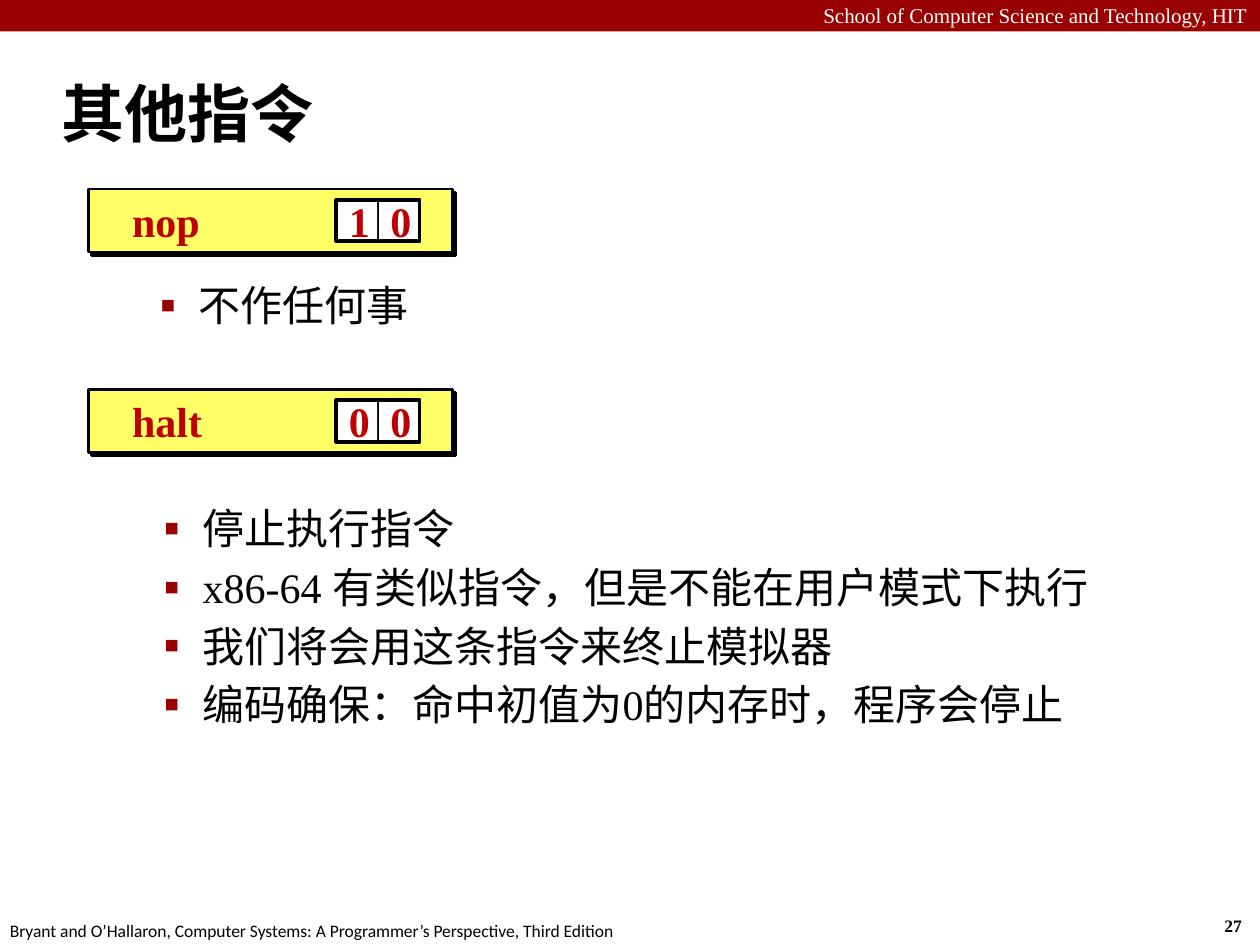
from lxml import etree
from pptx import Presentation
from pptx.dml.color import RGBColor
from pptx.enum.shapes import MSO_SHAPE
from pptx.enum.text import MSO_ANCHOR, MSO_AUTO_SIZE, PP_ALIGN
from pptx.oxml.ns import qn
from pptx.util import Inches, Pt

RECT = MSO_SHAPE.RECTANGLE
TOP, MIDDLE = MSO_ANCHOR.TOP, MSO_ANCHOR.MIDDLE
LEFT, RIGHT = PP_ALIGN.LEFT, PP_ALIGN.RIGHT
GROW, FIXED = MSO_AUTO_SIZE.SHAPE_TO_FIT_TEXT, MSO_AUTO_SIZE.NONE

BLACK = RGBColor(0x00, 0x00, 0x00)
WHITE = RGBColor(0xFF, 0xFF, 0xFF)
MAROON = RGBColor(0x99, 0x00, 0x00)
RED = RGBColor(0xC0, 0x00, 0x00)
YELLOW = RGBColor(0xFF, 0xFF, 0x66)
SERIF, SANS = "Times New Roman", "Calibri"


def add_element(parent, tag, **attrs):
    return etree.SubElement(parent, qn(tag), **attrs)


def set_text(sp, *lines, size=24, font=SERIF, color=BLACK, bold=False, align=LEFT,
             anchor=TOP, wrap=True, fit=FIXED, bullet=False):
    tf = sp.text_frame
    tf.word_wrap, tf.auto_size, tf.vertical_anchor = wrap, fit, anchor
    for i, line in enumerate(lines):
        p = tf.add_paragraph() if i else tf.paragraphs[0]
        p.alignment = align
        if bullet:
            add_bullet(p)
            p.space_before = Pt(0.2 * size if i else 0)
        r = p.add_run()
        r.text = line
        r.font.name, r.font.size, r.font.bold = font, Pt(size), bold
        r.font.color.rgb = color


def add_bullet(p):
    p.level = 1
    pPr = p._p.get_or_add_pPr()
    pPr.set("marL", str(Inches(0.81)))
    pPr.set("indent", str(Inches(-0.31)))
    add_element(add_element(pPr, "a:buClr"), "a:srgbClr", val=str(MAROON))
    add_element(pPr, "a:buSzPct", val="110000")
    add_element(pPr, "a:buFont", typeface=SERIF)
    add_element(pPr, "a:buChar", char="▪")


def add_hard_shadow(sp):
    """Give the shape a solid black shadow towards the lower right."""
    effects = sp._element.spPr.find(qn("a:effectLst"))
    shadow = add_element(effects, "a:outerShdw", blurRad="0", dist=str(Pt(2.8)),
                         dir=str(45 * 60000), algn="ctr", rotWithShape="0")
    add_element(shadow, "a:srgbClr", val=str(BLACK))


class SlideBuilder:
    def __init__(self, slide):
        self.shapes = slide.shapes

    def text(self, x, y, w, h, *lines, shapes=None, **style):
        sp = (shapes or self.shapes).add_textbox(Inches(x), Inches(y), Inches(w), Inches(h))
        set_text(sp, *lines, **style)

    def rect(self, x, y, w, h, fill=None, line=None, shapes=None):
        sp = (shapes or self.shapes).add_shape(RECT, Inches(x), Inches(y), Inches(w), Inches(h))
        sp.shadow.inherit = False
        if fill is None:
            sp.fill.background()
        else:
            sp.fill.solid()
            sp.fill.fore_color.rgb = fill
        if line is None:
            sp.line.fill.background()
        else:
            sp.line.color.rgb = BLACK
            sp.line.width = Pt(line)
        return sp

    def instruction(self, y, name, code):
        """Draw an instruction's name with its code, one cell per digit."""
        shapes = self.shapes.add_group_shape().shapes
        style = dict(color=RED, bold=True, anchor=MIDDLE, wrap=False)
        x, cell, row = 2.67, 0.33, y + 0.085
        add_hard_shadow(self.rect(0.7, y, 2.89, 0.5, YELLOW, 1.5, shapes))
        self.text(0.95, row, 2.09, cell, name, shapes=shapes, **style)
        for i, digit in enumerate(code):
            sp = self.rect(x + i * cell, row, cell, cell, WHITE, 0.5, shapes)
            set_text(sp, digit, **style)
        self.rect(x, row, cell * len(code), cell, line=2.25, shapes=shapes)


def main():
    prs = Presentation()
    prs.slide_width, prs.slide_height = Inches(10), Inches(7.5)
    s = SlideBuilder(prs.slides.add_slide(prs.slide_layouts[6]))

    s.rect(0, 0, 10, 0.25, MAROON)
    s.text(0, -0.03, 10, 0.3, "School of Computer Science and Technology, HIT",
           size=12, color=WHITE, align=RIGHT, fit=GROW)
    s.text(9.62, 7.21, 0.37, 0.27, "27", size=10, bold=True, wrap=False, fit=GROW)
    s.text(-0.02, 7.25, 5.08, 0.27,
           "Bryant and O’Hallaron, Computer Systems: A Programmer’s Perspective, Third Edition",
           size=10, font=SANS, wrap=False, fit=GROW)

    s.text(0.39, 0.48, 9.61, 0.83, "其他指令", size=36, font=SANS, bold=True, anchor=MIDDLE)

    s.instruction(1.5, "nop", "10")
    s.text(0.67, 2.17, 8.43, 0.56, "不作任何事", bullet=True)

    s.instruction(3.09, "halt", "00")
    s.text(0.7, 3.94, 8.43, 2.17,
           "停止执行指令",
           "x86-64 有类似指令，但是不能在用户模式下执行",
           "我们将会用这条指令来终止模拟器",
           "编码确保：命中初值为0的内存时，程序会停止",
           bullet=True)

    prs.save("out.pptx")


if __name__ == "__main__":
    main()
